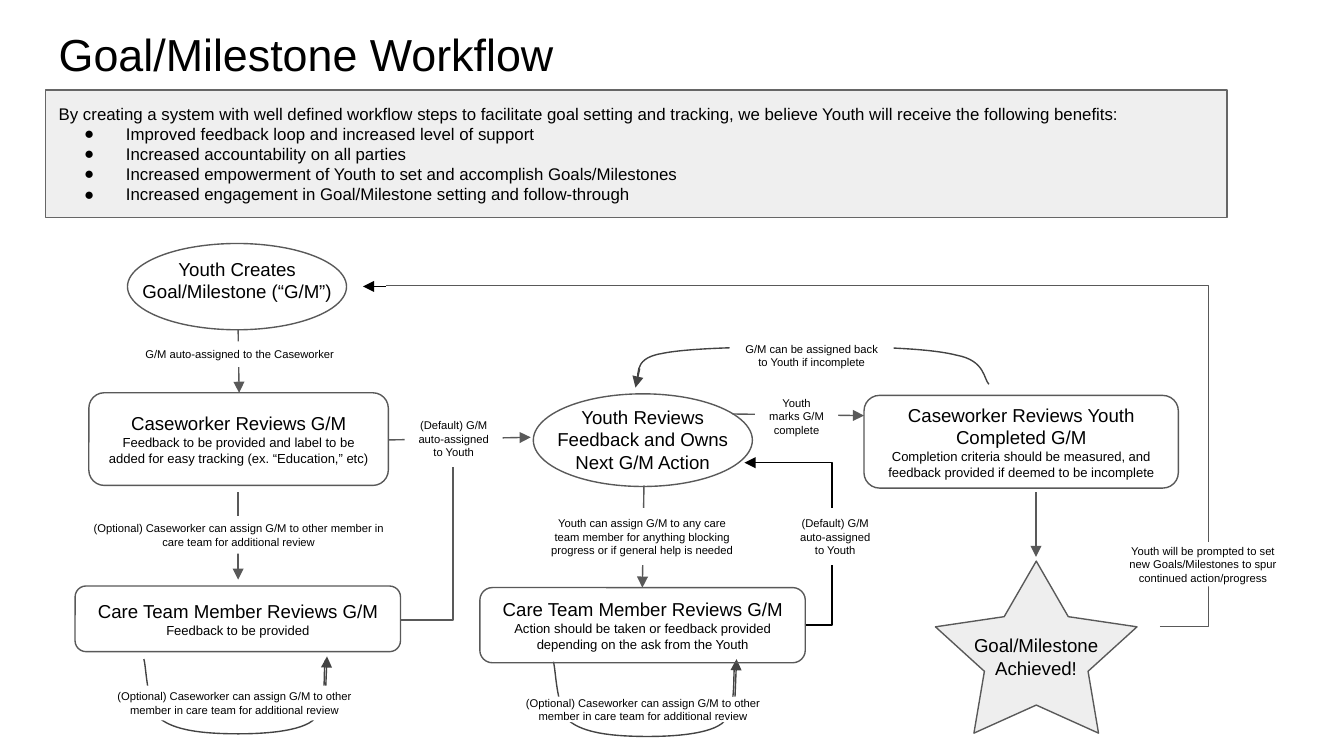
from lxml import etree
from pptx import Presentation
from pptx.dml.color import RGBColor
from pptx.enum import shapes as kinds, text as t
from pptx.oxml.ns import qn
from pptx.util import Cm, Pt

BLACK, WHITE, GREY, DARK = "000000", "FFFFFF", "595959", "434343"
INSET = Cm(0.25)

OPTIONAL_REVIEW = ("(Optional) Caseworker can assign G/M to other member in "
                   "care team for additional review")
DEFAULT_ASSIGN = "(Default) G/M auto-assigned to Youth"
BENEFITS_INTRO = ("By creating a system with well defined workflow steps to facilitate goal "
                  "setting and tracking, we believe Youth will receive the following benefits:")
BENEFITS = [
    "Improved feedback loop and increased level of support",
    "Increased accountability on all parties",
    "Increased empowerment of Youth to set and accomplish Goals/Milestones",
    "Increased engagement in Goal/Milestone setting and follow-through",
]

# Cubic curves: a start point, then three points per segment (cm)
REVIEW_LOOP = [(0, 0), (0.05, 0.18), (0.05, 0.86), (0.3, 1.12), (0.58, 1.35), (1.12, 1.4),
               (1.6, 1.41), (2.06, 1.42), (2.87, 1.4), (3.18, 1.17), (3.48, 0.94),
               (3.38, 0.23), (3.43, 0.03)]
RETURN_ARC = [(18.69, 7.26), (18.59, 7.16), (18.62, 6.81), (18.08, 6.71), (17.58, 6.58),
              (16.54, 6.55), (15.6, 6.55), (14.66, 6.55), (13.11, 6.55), (12.5, 6.68),
              (11.91, 6.78), (12.12, 7.14), (12.01, 7.24)]


def rgb(code):
    return RGBColor.from_string(code)


def paint(shape, fill=None, line=None):
    if fill:
        shape.fill.solid()
        shape.fill.fore_color.rgb = rgb(fill)
    else:
        shape.fill.background()
    if line:
        shape.line.color.rgb = rgb(line)
        shape.line.width = Pt(0.75)
    else:
        shape.line.fill.background()


def place(shape, left, top, width, height):
    shape.left, shape.top, shape.width, shape.height = map(Cm, (left, top, width, height))


def write(frame, content, size=10, detail_size=None, align=t.PP_ALIGN.CENTER,
          anchor=t.MSO_ANCHOR.MIDDLE, color=BLACK):
    """One paragraph per item; those after the first take detail_size."""
    frame.word_wrap = True
    frame.auto_size = t.MSO_AUTO_SIZE.NONE
    frame.vertical_anchor = anchor
    frame.margin_left = frame.margin_right = frame.margin_top = frame.margin_bottom = INSET
    for i, words in enumerate(content):
        paragraph = frame.add_paragraph() if i else frame.paragraphs[0]
        paragraph.alignment = align
        paragraph.space_before = Pt(0)
        run = paragraph.add_run()
        run.text = words
        run.font.name = "Arial"
        run.font.size = Pt(detail_size if i and detail_size else size)
        run.font.color.rgb = rgb(color)


def set_bullet(paragraph, char=None):
    props = paragraph._p.get_or_add_pPr()
    props.set("marL", str(Cm(1.27) if char else 0))
    props.set("indent", str(Cm(-0.79) if char else 0))
    if char:
        etree.SubElement(props, qn("a:buChar")).set("char", char)
    else:
        etree.SubElement(props, qn("a:buNone"))


def node(slide, kind, box, content=(), fill=None, line=GREY, **style):
    shape = slide.shapes.add_shape(kind, *map(Cm, box))
    shape.shadow.inherit = False
    paint(shape, fill, line)
    if content:
        write(shape.text_frame, content, **style)
    return shape


def step(slide, box, heading, detail):
    node(slide, kinds.MSO_SHAPE.ROUNDED_RECTANGLE, box, [heading, detail], detail_size=7)


def label(slide, box, words):
    node(slide, kinds.MSO_SHAPE.RECTANGLE, box, [words], fill=WHITE, line=None, size=6)


def caption(slide, box, words):
    write(slide.shapes.add_textbox(*map(Cm, box)).text_frame, [words])


def connect(slide, start, end, color=GREY, head=True, bend=None):
    """Straight line, or an elbow turning at the fraction `bend` of its width."""
    kind = kinds.MSO_CONNECTOR.STRAIGHT if bend is None else kinds.MSO_CONNECTOR.ELBOW
    line = slide.shapes.add_connector(kind, *map(Cm, start + end))
    line.line.color.rgb = rgb(color)
    line.line.width = Pt(0.75)
    props = line._element.spPr
    if head:
        etree.SubElement(props.find(qn("a:ln")), qn("a:tailEnd")).set("type", "triangle")
    if bend is not None:
        guide = etree.SubElement(props.find(qn("a:prstGeom")).find(qn("a:avLst")), qn("a:gd"))
        guide.set("name", "adj1")
        guide.set("fmla", f"val {round(bend * 100000)}")
    etree.SubElement(props, qn("a:effectLst"))


def curve(slide, points, left=0, top=0):
    spots = [(Cm(left + x), Cm(top + y)) for x, y in points]
    builder = slide.shapes.build_freeform(*spots[0])
    builder.add_line_segments(spots[1:], close=False)
    shape = builder.convert_to_shape()
    shape.shadow.inherit = False
    paint(shape, line=DARK)
    # Group each three line points into one cubic segment
    outline = next(shape._element.iter(qn("a:path")))
    lines = outline.findall(qn("a:lnTo"))
    for i in range(0, len(lines), 3):
        cubic = etree.SubElement(outline, qn("a:cubicBezTo"))
        for line in lines[i:i + 3]:
            cubic.append(line[0])
            outline.remove(line)


def review_loop(slide, left, top, label_box):
    curve(slide, REVIEW_LOOP, left, top)
    connect(slide, (left + 3.43, top + 0.68), (left + 3.46, top - 0.05), DARK)
    label(slide, label_box, OPTIONAL_REVIEW)


def add_intro(slide):
    title, benefits = slide.shapes.title, slide.placeholders[1]
    place(title, 0.86, 0.25, 10.19, 1.24)
    write(title.text_frame, ["Goal/Milestone Workflow"], size=24,
          align=t.PP_ALIGN.LEFT, anchor=t.MSO_ANCHOR.TOP)
    place(benefits, 0.86, 1.7, 22.33, 2.41)
    paint(benefits, "EFEFEF", "666666")
    write(benefits.text_frame, [BENEFITS_INTRO] + BENEFITS, size=9,
          align=t.PP_ALIGN.LEFT, anchor=t.MSO_ANCHOR.TOP)
    for i, paragraph in enumerate(benefits.text_frame.paragraphs):
        set_bullet(paragraph, "●" if i else None)


def add_flow_lines(slide):
    # Down the three columns
    connect(slide, (4.5, 6.22), (4.52, 7.42))
    connect(slide, (4.5, 9.3), (4.5, 10.95))
    connect(slide, (12.17, 9.17), (12.14, 11.1))
    connect(slide, (19.58, 9.3), (19.58, 10.52))
    # Across the columns
    connect(slide, (7.34, 8.31), (10.03, 8.26))
    connect(slide, (13.84, 7.82), (16.33, 7.85))
    # Back to an earlier step
    connect(slide, (7.57, 11.71), (8.56, 8.81), head=False, bend=1)
    connect(slide, (15.21, 11.81), (14.2, 8.74), BLACK, head=False, bend=-0.51)
    connect(slide, (14.5, 8.74), (14.07, 8.74), BLACK)
    connect(slide, (21.92, 11.84), (7.29, 5.4), head=False, bend=-0.063)
    connect(slide, (7.29, 5.41), (6.86, 5.41), BLACK)
    curve(slide, RETURN_ARC)
    connect(slide, (12.09, 6.96), (12.01, 7.32), DARK)


def add_flow_labels(slide):
    label(slide, (2.08, 6.45, 4.9, 0.48), "G/M auto-assigned to the Caseworker")
    label(slide, (1.4, 9.75, 6.22, 0.71), OPTIONAL_REVIEW)
    label(slide, (7.65, 7.75, 1.85, 1.07), DEFAULT_ASSIGN)
    label(slide, (14.86, 9.6, 1.85, 1.07), DEFAULT_ASSIGN)
    label(slide, (10.13, 9.6, 4.01, 1.07), "Youth can assign G/M to any care team member "
          "for anything blocking progress or if general help is needed")
    label(slide, (14.27, 7.44, 1.57, 0.84), "Youth marks G/M complete")
    label(slide, (13.79, 6.48, 3.1, 0.48), "G/M can be assigned back to Youth if incomplete")
    label(slide, (20.98, 10.24, 3.51, 0.84), "Youth will be prompted to set new "
          "Goals/Milestones to spur continued action/progress")


def add_steps(slide):
    # Youth steps
    node(slide, kinds.MSO_SHAPE.OVAL, (2.41, 4.6, 4.14, 1.63))
    caption(slide, (2.41, 4.7, 4.14, 1.19), "Youth Creates Goal/Milestone (“G/M”)")
    node(slide, kinds.MSO_SHAPE.OVAL, (10.08, 7.44, 4.14, 1.75))
    caption(slide, (10.24, 7.7, 3.81, 1.19), "Youth Reviews Feedback and Owns Next G/M Action")
    # Caseworker and care team steps
    step(slide, (1.68, 7.42, 5.66, 1.75), "Caseworker Reviews G/M",
         "Feedback to be provided and label to be added for easy tracking (ex. “Education,” etc)")
    step(slide, (1.42, 11.07, 6.15, 1.24), "Care Team Member Reviews G/M",
         "Feedback to be provided")
    step(slide, (9.07, 11.1, 6.15, 1.42), "Care Team Member Reviews G/M",
         "Action should be taken or feedback provided depending on the ask from the Youth")
    step(slide, (16.33, 7.47, 5.94, 1.75), "Caseworker Reviews Youth Completed G/M",
         "Completion criteria should be measured, and feedback provided if deemed to be incomplete")
    # Final achievement
    star = node(slide, kinds.MSO_SHAPE.STAR_5_POINT, (17.68, 10.6, 3.81, 3.25), fill="EEEEEE")
    star.adjustments[0] = 0.257
    caption(slide, (18.03, 11.81, 3.1, 1.19), "Goal/Milestone Achieved!")


def main():
    deck = Presentation()
    deck.slide_width, deck.slide_height = Cm(25.4), Cm(14.28)
    slide = deck.slides.add_slide(deck.slide_layouts[1])
    add_intro(slide)
    add_flow_lines(slide)
    review_loop(slide, 2.72, 12.45, (1.7, 12.95, 5.46, 0.66))
    review_loop(slide, 10.46, 12.5, (9.42, 13.16, 5.46, 0.48))
    add_flow_labels(slide)
    add_steps(slide)
    deck.save("out.pptx")


if __name__ == "__main__":
    main()
